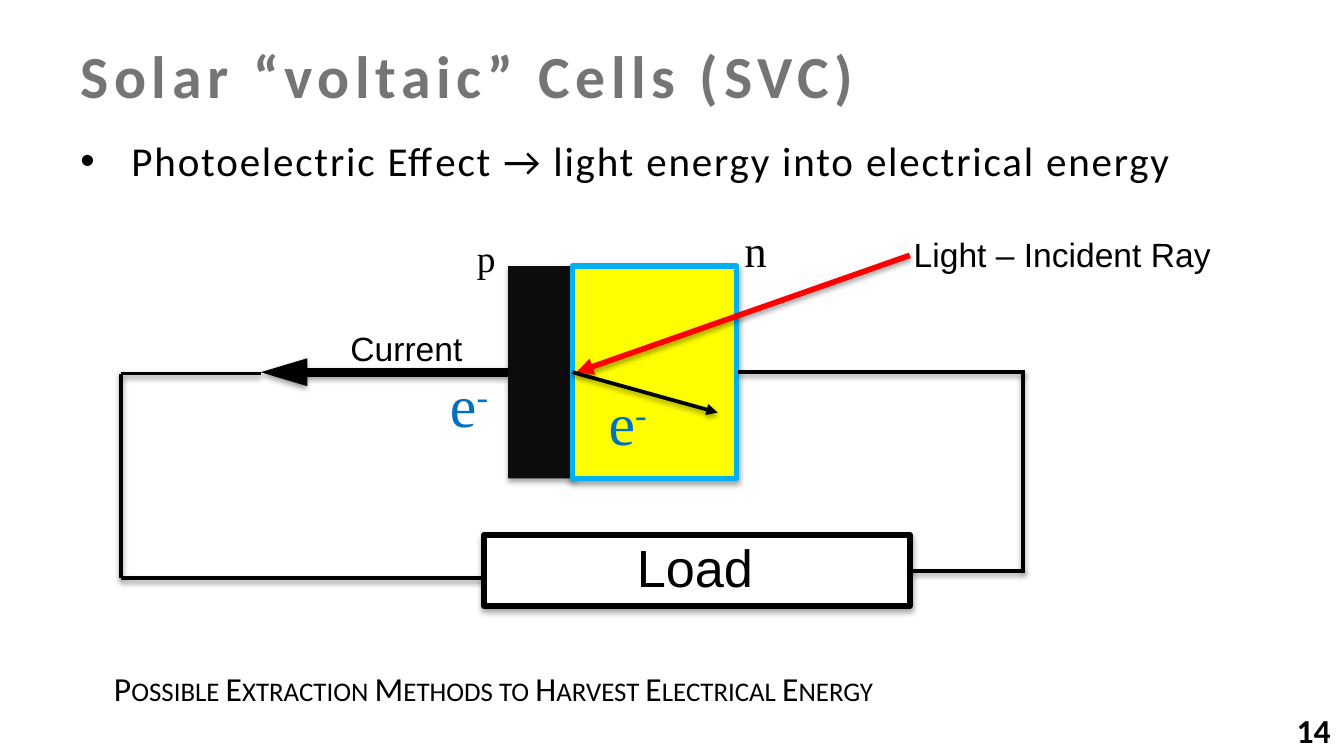
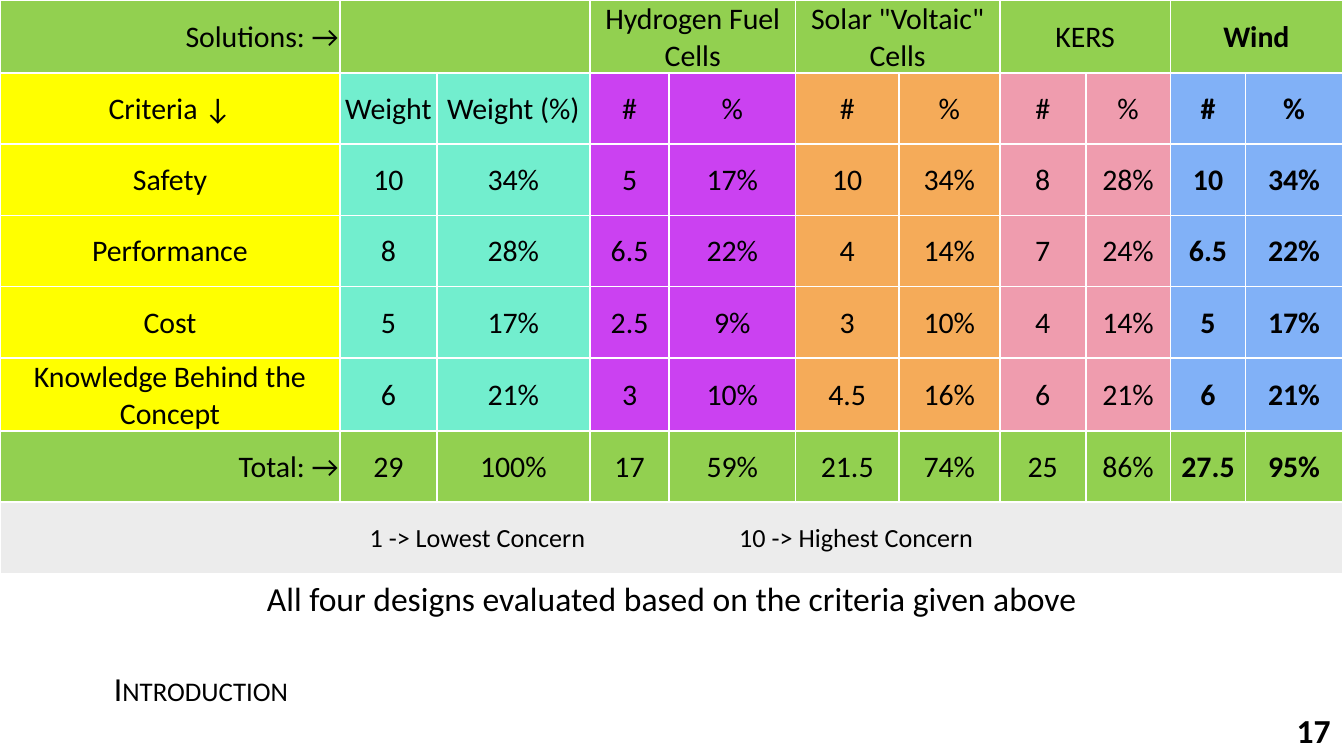
import lxml.etree
import pptx
import pptx.dml.color
import pptx.enum.shapes
import pptx.enum.text
import pptx.oxml.ns
import pptx.util

Inches = pptx.util.Inches
Pt = pptx.util.Pt
ALIGN = pptx.enum.text.PP_ALIGN
ANCHOR = pptx.enum.text.MSO_ANCHOR
BLACK, GREEN, BLUE = "000000", "92D050", "0070C0"
SANS, ARIAL, SERIF = "Calibri", "Arial", "Times New Roman"

HEADS = ["Hydrogen Fuel Cells", 'Solar "Voltaic" Cells', "KERS", "Wind"]
ROWS = [
    ["Criteria ↓", "Weight", "Weight (%)"] + ["#", "%"] * 4,
    ["Safety", "10", "34%", "5", "17%", "10", "34%", "8", "28%", "10", "34%"],
    ["Performance", "8", "28%", "6.5", "22%", "4", "14%", "7", "24%", "6.5", "22%"],
    ["Cost", "5", "17%", "2.5", "9%", "3", "10%", "4", "14%", "5", "17%"],
    ["Knowledge Behind the Concept",
     "6", "21%", "3", "10%", "4.5", "16%", "6", "21%", "6", "21%"],
    ["Total: →", "29", "100%", "17", "59%", "21.5", "74%", "25", "86%", "27.5", "95%"],
]
WIDTHS = [2.53, 0.72, 1.14, 0.59, 0.94, 0.77, 0.75, 0.64, 0.63, 0.56, 0.72]
# Criteria column first, then one colour for each pair of columns
TINTS = ["FFFF00", "72EECE", "CB41F1", "F5AB59", "EF9CAE", "81B1F7"]


def color(code):
    return pptx.dml.color.RGBColor.from_string(code)


def node(parent, tag, **attrs):
    child = lxml.etree.SubElement(parent, pptx.oxml.ns.qn("a:" + tag))
    for name, value in attrs.items():
        child.set(name, str(value))
    return child


def write(frame, text, size=18, font=SANS, ink=BLACK, bold=False, align=ALIGN.LEFT,
          space=0, caps=False, sup=""):
    """Fill the first paragraph; sup is a raised run after the text."""
    para = frame.paragraphs[0]
    para.alignment = align
    for part, rise in ((text, 0), (sup, 30)):
        if not part:
            continue
        run = para.add_run()
        run.text = part
        run.font.size, run.font.name, run.font.bold = Pt(size), font, bold
        run.font.color.rgb = color(ink)
        props = run.font._element
        if space:
            props.set("spc", str(space * 100))
        if caps:
            props.set("cap", "small")
        if rise:
            props.set("baseline", str(rise * 1000))
    return para


def shade(item, alpha, dist):
    """Add a soft shadow that falls straight down."""
    glow = node(node(item._element.spPr, "effectLst"), "outerShdw", blurRad=Pt(3.1),
                dist=Pt(dist), dir=90 * 60000, rotWithShape=0)
    node(node(glow, "srgbClr", val=BLACK), "alpha", val=alpha * 1000)


class Deck:
    """Holds the shared style, the current slide and the shapes being drawn on."""

    def __init__(self):
        self.show = pptx.Presentation()
        self.show.slide_width = Inches(10)
        self.show.slide_height = Inches(10) * 9 // 16

    def page(self, number, footer):
        self.slide = self.show.slides.add_slide(self.show.slide_layouts[6])
        self.board = self.slide.shapes
        self.text(footer, 0.75, 4.97, 6.53, 0.3, anchor=ANCHOR.MIDDLE, caps=True)
        self.text(number, 7, 5.23, 3, 0.4, bold=True, align=ALIGN.RIGHT)

    def group(self):
        self.board = self.slide.shapes.add_group_shape().shapes

    def text(self, words, left, top, width, height, anchor=ANCHOR.TOP, **style):
        box = self.board.add_textbox(*map(Inches, (left, top, width, height)))
        box.text_frame.word_wrap = True
        box.text_frame.vertical_anchor = anchor
        return write(box.text_frame, words, **style)

    def title(self, words):
        self.text(words, 0.5, 0.24, 9, 0.94, size=32, ink="757575", bold=True, space=3)

    def bullet(self, words):
        para = self.text(words, 0.5, 0.96, 9, 3.26, size=22, space=1)
        para.space_before = Pt(4.4)
        props = para._p.get_or_add_pPr()
        props.set("marL", str(Inches(0.38)))
        props.set("indent", str(-Inches(0.38)))
        node(props, "buFont", typeface=ARIAL)
        node(props, "buChar", char="•")

    def block(self, left, top, width, height, fill, edge=None):
        rect = self.board.add_shape(pptx.enum.shapes.MSO_SHAPE.RECTANGLE,
                                    *map(Inches, (left, top, width, height)))
        rect.fill.solid()
        rect.fill.fore_color.rgb = color(fill)
        if edge:
            rect.line.color.rgb = color(edge)
            rect.line.width = Pt(3)
        else:
            rect.line.fill.background()
        shade(rect, 35, 1.8)

    def wire(self, *ends, ink=BLACK, width=2, head=None):
        """Draw a line; head is the length of its arrowhead, med or lg."""
        line = self.board.add_connector(pptx.enum.shapes.MSO_CONNECTOR.STRAIGHT,
                                        *map(Inches, ends))
        line.line.color.rgb = color(ink)
        line.line.width = Pt(width)
        if head:
            node(line.line._get_or_add_ln(), "tailEnd", type="triangle", w="med", len=head)
        shade(line, 38, 1.6)

    def table(self, widths, count, height):
        grid = self.board.add_table(count, len(widths), 0, 0, Inches(sum(widths)),
                                    Inches(count * height)).table
        grid.first_row = grid.horz_banding = False
        for col, width in zip(grid.columns, widths):
            col.width = Inches(width)
        for row in grid.rows:
            row.height = Inches(height)
        return grid

    def cell(self, cell, words, fill, size=16, align=ALIGN.CENTER, **style):
        cell.vertical_anchor = ANCHOR.MIDDLE
        cell.margin_left = cell.margin_right = cell.margin_top = Inches(0.01)
        cell.margin_bottom = 0
        for side in ("lnL", "lnR", "lnT", "lnB"):
            edge = node(cell._tc.get_or_add_tcPr(), side, w=Pt(1))
            node(node(edge, "solidFill"), "srgbClr", val="FFFFFF")
        cell.fill.solid()
        cell.fill.fore_color.rgb = color(fill)
        return write(cell.text_frame, words, size=size, align=align, **style)


def solar(deck):
    deck.page("14", "Possible Extraction Methods to Harvest Electrical Energy")
    deck.title("Solar “voltaic” Cells (SVC)")
    deck.bullet("Photoelectric Effect → light energy into electrical energy")

    deck.group()
    deck.block(3.78, 1.98, 0.51, 1.58, "0D0D0D")
    deck.block(4.26, 1.98, 1.22, 1.58, "FFFF00", edge="00B0F0")
    deck.wire(3.78, 2.77, 1.94, 2.77, width=5, head="lg")
    for ends in ((1.94, 2.78, 0.9, 2.78), (0.9, 2.78, 0.9, 4.3), (0.9, 4.3, 3.62, 4.3)):
        deck.wire(*ends)
    deck.block(3.6, 3.98, 3.17, 0.53, "FFFFFF", edge=BLACK)
    for ends in ((5.49, 2.77, 7.63, 2.77), (7.61, 2.77, 7.61, 4.25),
                 (6.77, 4.25, 7.63, 4.25)):
        deck.wire(*ends)
    deck.wire(6.77, 1.9, 4.29, 2.77, ink="FF0000", width=3, head="med")
    deck.wire(4.26, 2.77, 5.34, 3.07, head="med")

    deck.text("Light – Incident Ray", 6.7, 1.69, 2.95, 0.31, font=ARIAL)
    deck.text("p", 3.45, 1.7, 0.24, 0.34, size=20, font=SERIF)
    deck.text("n", 5.44, 1.61, 0.72, 0.39, size=24, font=SERIF)
    deck.text("Current", 2.51, 2.39, 1.27, 0.31, font=ARIAL)
    deck.text("Load", 3.6, 3.93, 3.14, 0.44, size=28, font=ARIAL, align=ALIGN.CENTER)
    for left, top in ((4.43, 2.82), (3.25, 2.69)):
        deck.text("e", left, top, 0.7, 0.49, size=32, font=SERIF, ink=BLUE, sup="-")


def matrix(deck):
    deck.page("17", "Introduction")
    deck.text("All four designs evaluated based on the criteria given above",
              0, 4.25, 10, 0.4, align=ALIGN.CENTER)
    grid = deck.table(WIDTHS, len(ROWS) + 2, 0.53)

    deck.cell(grid.cell(0, 0), "Solutions: →", GREEN, align=ALIGN.RIGHT)
    for col, head in zip(range(1, len(WIDTHS), 2), [""] + HEADS):
        grid.cell(0, col).merge(grid.cell(0, col + 1))
        deck.cell(grid.cell(0, col), head, GREEN, bold=head == "Wind")

    for row, words in enumerate(ROWS, 1):
        total = row == len(ROWS)
        for col, word in enumerate(words):
            deck.cell(grid.cell(row, col), word,
                      GREEN if total else TINTS[(col + 1) // 2], bold=col > 8,
                      align=ALIGN.RIGHT if total and col == 0 else ALIGN.CENTER)

    last = len(ROWS) + 1
    grid.cell(last, 0).merge(grid.cell(last, len(WIDTHS) - 1))
    para = deck.cell(grid.cell(last, 0), "\t1 -> Lowest Concern\t10 -> Highest Concern",
                     "ECECEC", size=14, align=ALIGN.LEFT)
    tabs = node(para._p.get_or_add_pPr(), "tabLst")
    for stop in (2.74, 5.49):
        node(tabs, "tab", pos=Inches(stop), algn="l")


def main():
    deck = Deck()
    solar(deck)
    matrix(deck)
    deck.show.save("out.pptx")


if __name__ == "__main__":
    main()
